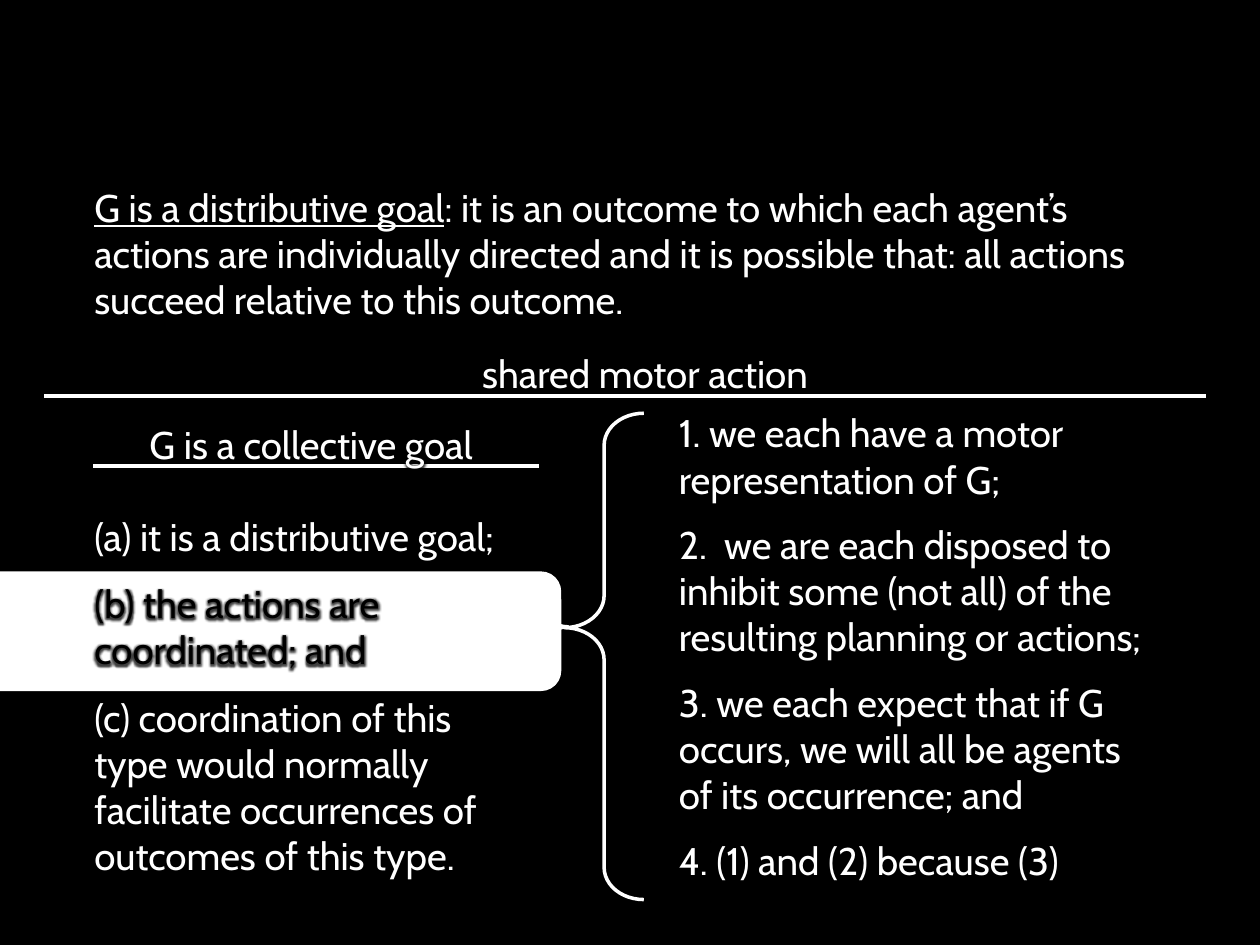
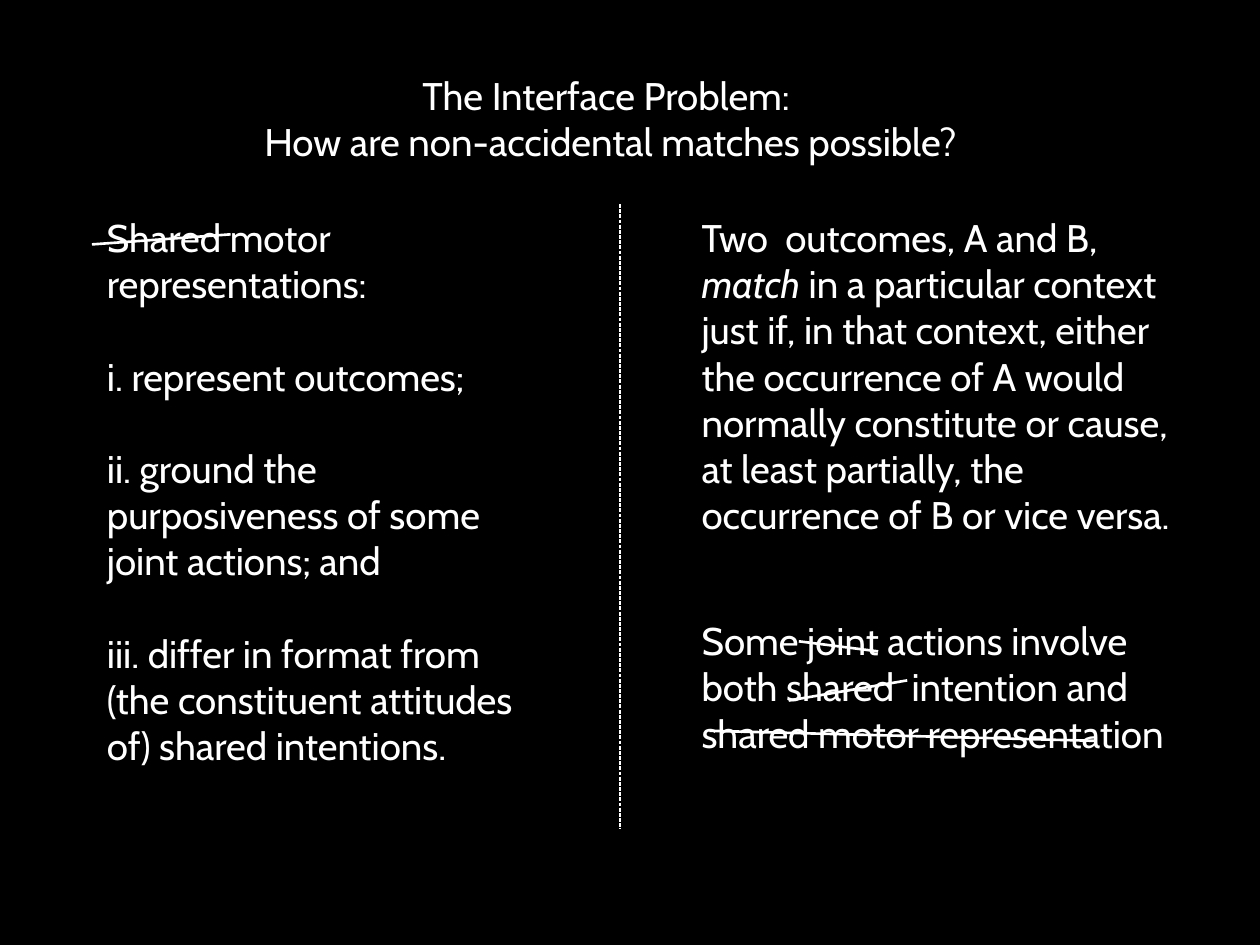
from dataclasses import dataclass

from lxml import etree
from pptx import Presentation
from pptx import util as u
from pptx.dml.color import RGBColor
from pptx.enum import dml, shapes, text
from pptx.oxml import ns

PX = 9144  # EMU in one px, 100 px to the inch


@dataclass(frozen=True)
class Theme:
    back: str = "000000"
    ink: str = "FFFFFF"
    font: str = "Cabin"
    size: int = 22
    row: float = 26.4  # height of one text line in points
    rule: float = 2.25
    brace: float = 2
    strike: float = 1.5
    thin: float = 0.75


THEME = Theme()
CENTER = text.PP_ALIGN.CENTER
PRESET = shapes.MSO_SHAPE


def emu(*lengths):
    return [u.Emu(n * PX) for n in lengths]


def tint(fill, color):
    fill.solid()
    fill.fore_color.rgb = RGBColor.from_string(color)


def add_glow(run):
    """Put a soft dark halo around the letters of a run."""
    props = run.font._element
    effects = etree.SubElement(props, ns.qn("a:effectLst"))
    glow = etree.SubElement(effects, ns.qn("a:glow"), rad="50800")
    color = etree.SubElement(glow, ns.qn("a:srgbClr"), val=THEME.back)
    etree.SubElement(color, ns.qn("a:alpha"), val="75000")


def add_slide(deck):
    slide = deck.slides.add_slide(deck.slide_layouts[6])
    tint(slide.background.fill, THEME.back)
    return slide


def add_box(slide, *place):
    frame = slide.shapes.add_textbox(*emu(*place)).text_frame
    frame.word_wrap = True
    return frame


def write(frame, *runs, align=None, before=0, after=0, color=THEME.ink, glow=False):
    """Add a paragraph; a run is a string or a (string, font settings) pair."""
    first = frame.paragraphs[0]
    para = frame.add_paragraph() if first.runs else first
    para.alignment = align
    para.space_before, para.space_after = u.Pt(before), u.Pt(after)
    for item in runs:
        words, style = (item, {}) if isinstance(item, str) else item
        run = para.add_run()
        run.text = words
        tint(run.font.fill, color)
        if glow:
            add_glow(run)
        run.font.size, run.font.name = u.Pt(THEME.size), THEME.font
        for key, value in style.items():
            setattr(run.font, key, value)


def add_line(slide, ends, width, dash=None):
    line = slide.shapes.add_connector(shapes.MSO_CONNECTOR.STRAIGHT, *emu(*ends))
    tint(line.line.fill, THEME.ink)
    line.line.width = u.Pt(width)
    if dash:
        line.line.dash_style = dash
    etree.SubElement(line._element.spPr, ns.qn("a:effectLst"))


def add_shape(slide, kind, place, width, fill=None, bends=()):
    shape = slide.shapes.add_shape(kind, *emu(*place))
    shape.shadow.inherit = False
    if fill:
        tint(shape.fill, fill)
    else:
        shape.fill.background()
    tint(shape.line.fill, THEME.ink)
    shape.line.width = u.Pt(width)
    for i, bend in enumerate(bends):
        shape.adjustments[i] = bend


def shared_action(deck):
    slide = add_slide(deck)
    write(add_box(slide, 65, 141, 868, 121),
          ("G is a distributive goal", {"underline": True}),
          ": it is an outcome to which each agent’s actions are individually directed "
          "and it is possible that: all actions succeed relative to this outcome.")
    add_shape(slide, PRESET.ROUNDED_RECTANGLE, (-35, 454, 480, 94), THEME.thin, THEME.ink)
    for ends in ((35, 314, 957, 314), (74, 370, 428, 370)):
        add_line(slide, ends, THEME.rule)

    terms = add_box(slide, 529, 320, 404, 390)
    for term in (
        "1. we each have a motor representation of G;",
        "2.  we are each disposed to inhibit some (not all) of the resulting planning or actions;",
        "3. we each expect that if G occurs, we will all be agents of its occurrence; and",
        "4. (1) and (2) because (3)",
    ):
        write(terms, term, after=11)

    write(add_box(slide, 185, 273, 654, 47), "shared motor action", align=CENTER)
    add_shape(slide, PRESET.LEFT_BRACE, (448, 328, 63, 386), THEME.brace, bends=(0.405, 0.441))
    add_shape(slide, PRESET.RIGHT_BRACE, (413, 462, 38, 71), THEME.brace, bends=(0.405, 0.5))

    goal = add_box(slide, 65, 329, 364, 377)
    write(goal, "G is a collective goal", align=CENTER, glow=True)
    write(goal, "(a) it is a distributive goal;", before=THEME.row, after=12, glow=True)
    write(goal, "(b) the actions are coordinated; and", after=12, color=THEME.back, glow=True)
    write(goal, "(c) coordination of this type would normally facilitate "
          "occurrences of outcomes of this type.", after=12, glow=True)


def interface(deck):
    slide = add_slide(deck)
    claims = add_box(slide, 75, 165, 362, 454)
    write(claims, "Shared motor representations:")
    write(claims, "i. represent outcomes;", before=THEME.row)
    write(claims, "ii. ground the purposiveness of some", before=THEME.row)
    write(claims, "joint actions; and")
    write(claims, "iii. differ in format from (the constituent attitudes of) shared intentions.",
          before=THEME.row)

    write(add_box(slide, 547, 485, 409, 121),
          "Some joint actions involve both shared  intention and shared motor representation")

    title = add_box(slide, 91, 52, 787, 121)
    for line in ("The Interface Problem: ", "How are non-accidental matches possible?"):
        write(title, line, align=CENTER)

    write(add_box(slide, 547, 165, 400, 269),
          "Two  outcomes, A and B, ", ("match", {"italic": True}),
          " in a particular context just if, in that context, either the occurrence of A "
          "would normally constitute or cause, at least partially, the occurrence of B "
          "or vice versa.")

    add_line(slide, (492, 162, 492, 658), THEME.thin, dml.MSO_LINE.SQUARE_DOT)
    for strike in ((634, 509, 697, 517), (563, 580, 870, 588),
                   (626, 556, 720, 540), (73, 194, 183, 186)):
        add_line(slide, strike, THEME.strike)


def main():
    deck = Presentation()
    deck.slide_width, deck.slide_height = emu(1000, 750)
    shared_action(deck)
    interface(deck)
    deck.save("out.pptx")


if __name__ == "__main__":
    main()
